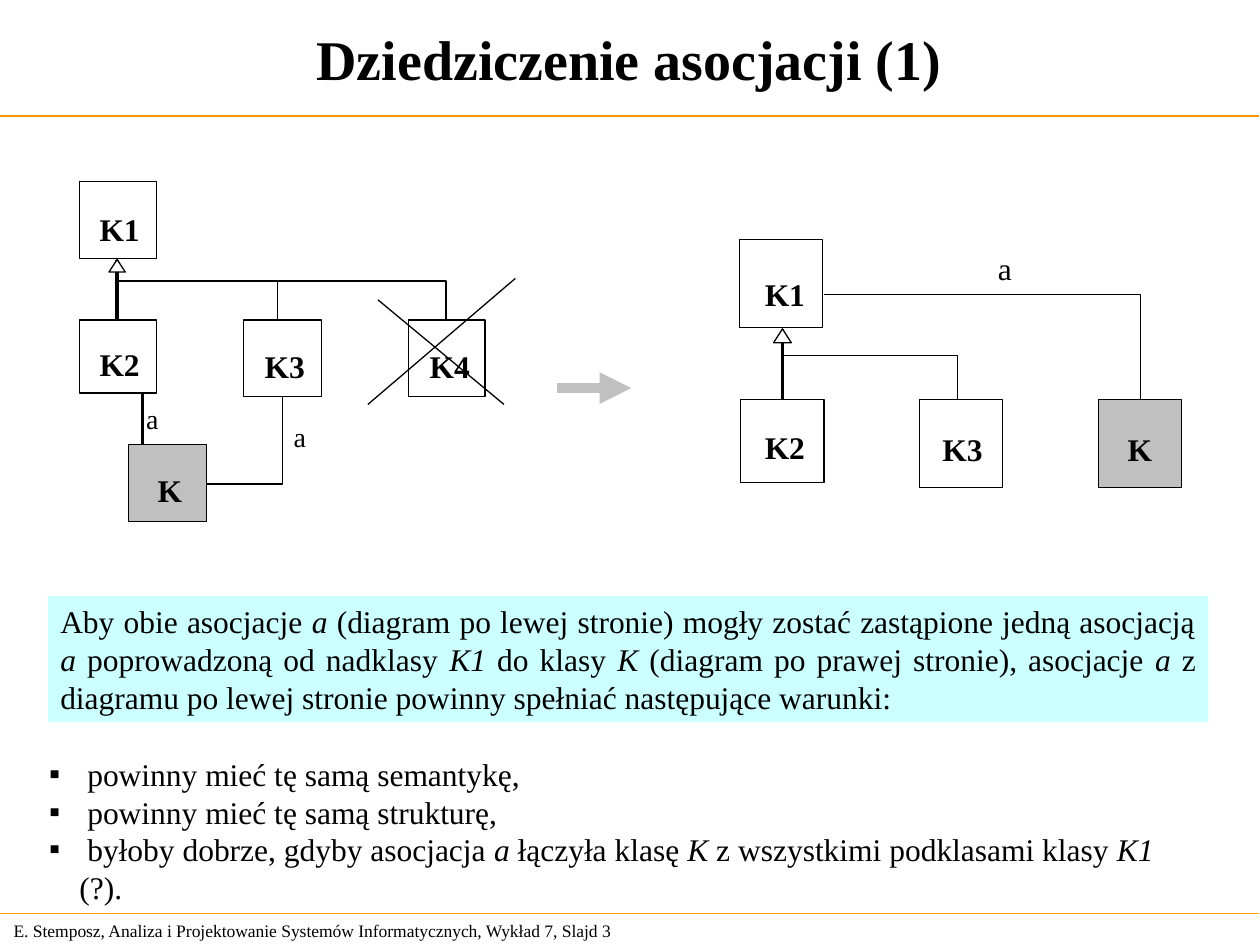
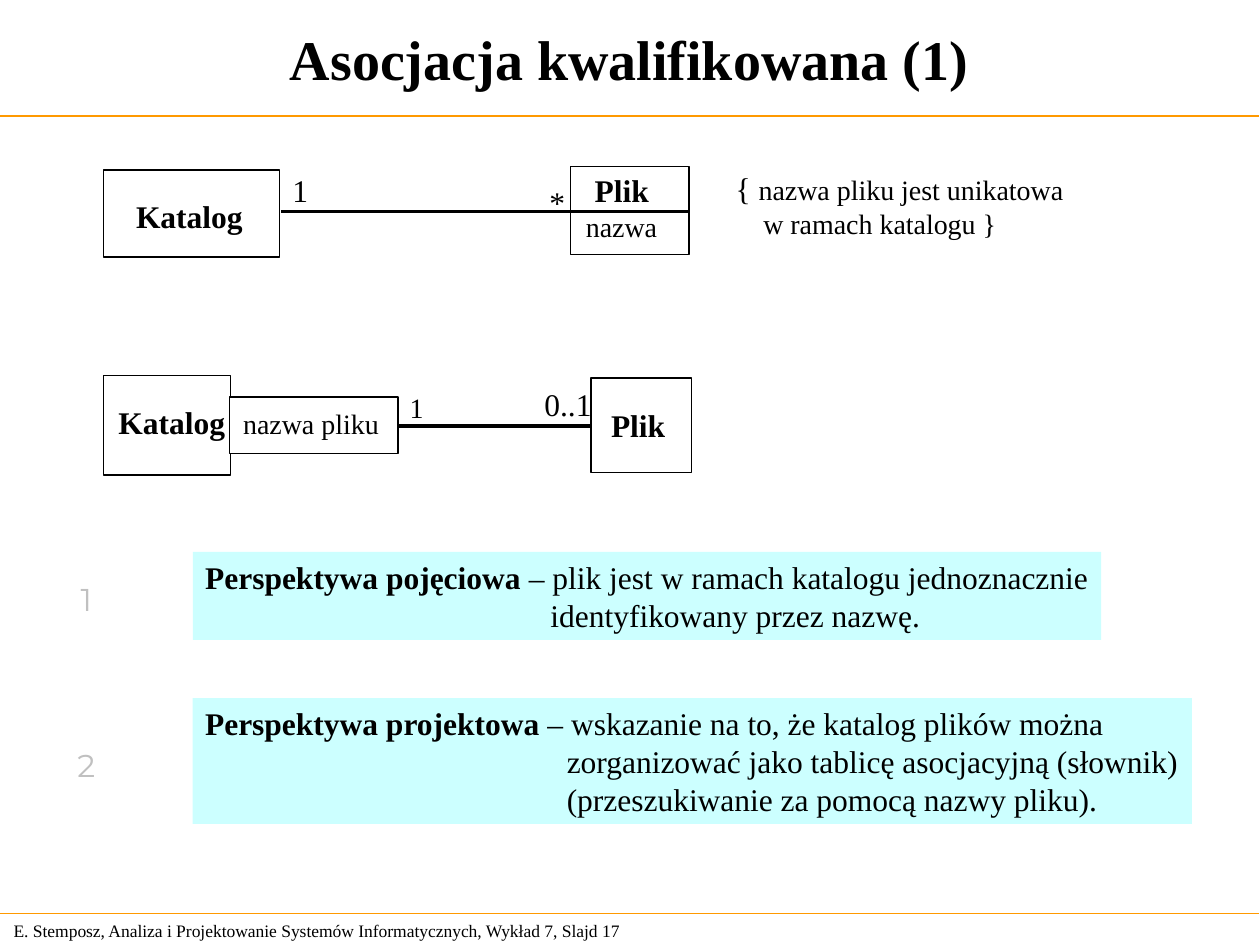
from dataclasses import dataclass

import pptx
import pptx.util
from lxml import etree
from pptx.dml.color import RGBColor
from pptx.enum.shapes import MSO_CONNECTOR, MSO_SHAPE
from pptx.enum.text import MSO_ANCHOR, MSO_AUTO_SIZE, PP_ALIGN
from pptx.oxml.ns import qn
from pptx.util import Inches, Pt


@dataclass(frozen=True)
class Theme:
    font: str = "Times New Roman"
    number_font: str = "Montserrat"
    ink: str = "000000"
    paper: str = "FFFFFF"
    grey: str = "C0C0C0"
    note: str = "CCFFFF"
    rule: str = "FF9900"
    title: int = 32
    text: int = 18
    small: int = 16
    footer: int = 10
    hairline: float = 0
    thin: float = 0.75
    arrow: float = 6


THEME = Theme()
FOOTER = "E. Stemposz, Analiza i Projektowanie Systemów Informatycznych, Wykład 7, Slajd {}"
INSET = (0.1, 0.05, 0.1, 0.05)
NO_INSET = (0, 0, 0, 0)

# Text between bars is emphasised.
INHERITANCE = {
    "title": "Dziedziczenie asocjacji (1)",
    "number": 3,
    # name, (left, top, width, height), label offset, fill
    "classes": [
        ("K1", (0.63, 1.44, 0.61, 0.61), (0.16, 0.23), THEME.paper),
        ("K2", (0.63, 2.54, 0.61, 0.58), (0.16, 0.2), THEME.paper),
        ("K3", (1.93, 2.54, 0.62, 0.61), (0.17, 0.21), THEME.paper),
        ("K4", (3.24, 2.54, 0.61, 0.61), (0.17, 0.21), THEME.paper),
        ("K", (1.02, 3.53, 0.62, 0.61), (0.23, 0.21), THEME.grey),
        ("K1", (5.87, 1.9, 0.66, 0.7), (0.2, 0.28), THEME.paper),
        ("K2", (5.88, 3.17, 0.66, 0.66), (0.19, 0.23), THEME.paper),
        ("K3", (7.3, 3.17, 0.66, 0.7), (0.18, 0.24), THEME.paper),
        ("K", (8.72, 3.17, 0.66, 0.7), (0.23, 0.24), THEME.grey),
    ],
    # superclass x, its bottom, bus y, subclass top, subclass x's, arrowhead size
    "generalizations": [
        (0.93, 2.06, 2.23, 2.54, (2.2, 3.54), (0.13, 0.1)),
        (6.21, 2.61, 2.82, 3.17, (7.6,), (0.14, 0.11)),
    ],
    "associations": [
        [(1.64, 3.84), (2.24, 3.84), (2.24, 3.15)],
        [(9.05, 3.17), (9.05, 2.34), (6.54, 2.34)],
    ],
    "direct_association": ((1.13, 3.53), (1.13, 3.11)),
    "association_names": [
        ("a", (1.16, 3.19, 0.1, 0.27), THEME.small),
        ("a", (2.33, 3.33, 0.1, 0.27), THEME.small),
        ("a", (7.92, 1.98, 0.11, 0.3), THEME.text),
    ],
    "cross": [((3, 2.38), (4, 3.21)), ((2.92, 3.21), (4.09, 2.21))],
    "becomes": ((4.42, 3.08), (5.01, 3.08)),
    "condition": "Aby obie asocjacje |a| (diagram po lewej stronie) mogły zostać zastąpione "
                 "jedną asocjacją |a| poprowadzoną od nadklasy |K1| do klasy |K| (diagram po "
                 "prawej stronie), asocjacje |a| z diagramu po lewej stronie powinny spełniać "
                 "następujące warunki:",
    "requirements": [
        " powinny mieć tę samą semantykę,",
        " powinny mieć tę samą strukturę,",
        " byłoby dobrze, gdyby asocjacja |a| łączyła klasę |K| z wszystkimi podklasami "
        "klasy |K1 |(?).",
    ],
}

QUALIFIED = {
    "title": "Asocjacja kwalifikowana (1)",
    "number": 17,
    "classes": [
        ("Katalog", (0.82, 1.35, 1.4, 0.69), (0.26, 0.21), THEME.paper),
        ("Plik", (4.53, 1.32, 0.94, 0.7), (0.19, 0.04), THEME.paper),
        ("Katalog", (0.82, 2.98, 1.01, 0.79), (0.12, 0.22), THEME.paper),
        ("Plik", (4.69, 3, 0.8, 0.75), (0.16, 0.22), THEME.paper),
    ],
    "qualifier": ("nazwa pliku", (1.82, 3.15, 1.34, 0.45), (0.11, 0.08), THEME.paper),
    "lines": [
        ((2.23, 1.68), (4.53, 1.68)),
        ((4.53, 1.68), (5.48, 1.68)),
        ((3.16, 3.38), (4.69, 3.38)),
    ],
    "labels": [
        ("nazwa", (4.65, 1.66, 0.57, 0.27), THEME.small),
        ("1", (2.32, 1.36, 0.13, 0.3), THEME.text),
        ("*", (4.36, 1.45, 0.13, 0.3), THEME.text),
        ("0..1", (4.32, 3.06, 0.38, 0.3), THEME.text),
        ("1", (3.25, 3.1, 0.11, 0.27), THEME.small),
    ],
    "constraint": ["{ ", "nazwa pliku jest unikatowa", "w ramach katalogu }"],
    # number, number top, note box, hanging indent, lines
    "perspectives": [
        ("1", 4.6, (1.53, 4.38, 7.21, 0.7), 2.74,
         ["|Perspektywa pojęciowa |– plik jest w ramach katalogu jednoznacznie",
          "identyfikowany przez nazwę."]),
        ("2", 5.92, (1.53, 5.54, 7.93, 1), 2.87,
         ["|Perspektywa projektowa| – wskazanie na to, że katalog plików można",
          "zorganizować jako tablicę asocjacyjną (słownik)",
          "(przeszukiwanie za pomocą nazwy pliku)."]),
    ],
}


def color(value):
    return RGBColor.from_string(value)


def place(shape, area):
    shape.left, shape.top, shape.width, shape.height = map(Inches, area)


def set_font(font, size=THEME.text, bold=False, ink=THEME.ink, face=THEME.font):
    font.name, font.size, font.bold = face, Pt(size), bold
    font.color.rgb = color(ink)


def prepare(frame, inset=INSET, anchor=MSO_ANCHOR.TOP, wrap=True):
    frame.auto_size = MSO_AUTO_SIZE.NONE
    frame.word_wrap = wrap
    frame.vertical_anchor = anchor
    (frame.margin_left, frame.margin_top,
     frame.margin_right, frame.margin_bottom) = map(Inches, inset)
    return frame


def next_paragraph(frame, index):
    return frame.paragraphs[0] if index == 0 else frame.add_paragraph()


def add_marked_runs(paragraph, marked, emphasis):
    """Split text at bars and apply the font attribute to every second part."""
    for index, part in enumerate(marked.split("|")):
        if part:
            run = paragraph.add_run()
            run.text = part
            if index % 2:
                setattr(run.font, emphasis, True)


def add_label(slide, text, area, size=THEME.text, inset=NO_INSET,
              anchor=MSO_ANCHOR.TOP, **font):
    frame = prepare(slide.shapes.add_textbox(*map(Inches, area)).text_frame,
                    inset, anchor, wrap=False)
    paragraph = frame.paragraphs[0]
    paragraph.text = text
    set_font(paragraph.font, size, **font)
    return paragraph


def add_box(slide, area, fill, outlined=True):
    box = slide.shapes.add_shape(MSO_SHAPE.RECTANGLE, *map(Inches, area))
    box.shadow.inherit = False
    box.fill.solid()
    box.fill.fore_color.rgb = color(fill)
    if outlined:
        box.line.color.rgb = color(THEME.ink)
        box.line.width = Pt(THEME.hairline)
    else:
        box.line.fill.background()
    return box


def add_class(slide, name, area, offset, fill, size=THEME.text, bold=True):
    frame = prepare(add_box(slide, area, fill).text_frame, (*offset, 0, 0))
    paragraph = frame.paragraphs[0]
    paragraph.text = name
    paragraph.alignment = PP_ALIGN.LEFT
    set_font(paragraph.font, size, bold)


def add_line(slide, start, end, width=THEME.hairline, ink=THEME.ink, arrow=False):
    line = slide.shapes.add_connector(MSO_CONNECTOR.STRAIGHT, *map(Inches, (*start, *end)))
    line.line.color.rgb = color(ink)
    line.line.width = Pt(width)
    if arrow:
        etree.SubElement(line.line._get_or_add_ln(), qn("a:tailEnd"), type="triangle")
    etree.SubElement(line._element.spPr, qn("a:effectLst"))


def add_path(slide, points, closed=False):
    start, *rest = [tuple(map(Inches, point)) for point in points]
    builder = slide.shapes.build_freeform(*start)
    builder.add_line_segments(rest, close=closed)
    path = builder.convert_to_shape()
    path.shadow.inherit = False
    if closed:
        path.fill.solid()
        path.fill.fore_color.rgb = color(THEME.paper)
    else:
        path.fill.background()
    path.line.color.rgb = color(THEME.ink)
    path.line.width = Pt(THEME.hairline)


def add_generalization(slide, x, top, bus, bottom, branches, head):
    add_line(slide, (x, bottom), (x, top))
    for branch in branches:
        add_path(slide, [(branch, bottom), (branch, bus), (x, bus), (x, top)])
    half, base = head[0] / 2, top + head[1]
    add_path(slide, [(x, top), (x + half, base), (x - half, base)], closed=True)


def start_slide(deck, layout, content):
    slide = deck.slides.add_slide(deck.slide_layouts.get_by_name(layout))
    title = slide.shapes.title
    place(title, (0, 0, 9.99, 0.92))
    title.text = content["title"]
    prepare(title.text_frame, anchor=MSO_ANCHOR.MIDDLE)
    heading = title.text_frame.paragraphs[0]
    heading.alignment = PP_ALIGN.CENTER
    set_font(heading.font, THEME.title, bold=True)
    for y in (0.92, 7.25):
        add_line(slide, (-0.01, y), (9.99, y), THEME.thin, THEME.rule)
    add_label(slide, FOOTER.format(content["number"]), (0.01, 7.25, 5.24, 0.27),
              THEME.footer, INSET, MSO_ANCHOR.MIDDLE)
    for item in content["classes"]:
        add_class(slide, *item)
    return slide


def add_requirements(slide, requirements):
    body = slide.placeholders[1]
    place(body, (0.29, 5.94, 9.24, 1.3))
    frame = prepare(body.text_frame)
    for index, requirement in enumerate(requirements):
        paragraph = next_paragraph(frame, index)
        add_marked_runs(paragraph, requirement, "italic")
        properties = paragraph._p.get_or_add_pPr()
        properties.set("marL", str(Inches(0.24)))
        properties.set("indent", str(Inches(-0.24)))
        etree.SubElement(properties, qn("a:buFont"), typeface=THEME.font)
        etree.SubElement(properties, qn("a:buChar"), char="▪")
        paragraph.space_before = Pt(0)
        set_font(paragraph.font)


def build_inheritance(deck):
    content = INHERITANCE
    slide = start_slide(deck, "Title and Content", content)
    for tree in content["generalizations"]:
        add_generalization(slide, *tree)
    for points in content["associations"]:
        add_path(slide, points)
    add_line(slide, *content["direct_association"])
    for name in content["association_names"]:
        add_label(slide, *name)
    for stroke in content["cross"]:
        add_line(slide, *stroke, THEME.thin)
    add_line(slide, *content["becomes"], THEME.arrow, THEME.grey, arrow=True)
    note = add_box(slide, (0.38, 4.73, 9.21, 1), THEME.note, outlined=False)
    paragraph = prepare(note.text_frame).paragraphs[0]
    add_marked_runs(paragraph, content["condition"], "italic")
    paragraph.alignment = PP_ALIGN.JUSTIFY
    set_font(paragraph.font)
    add_requirements(slide, content["requirements"])


def build_qualified(deck):
    content = QUALIFIED
    slide = start_slide(deck, "Title Only", content)
    for line in content["lines"]:
        add_line(slide, *line)
    add_class(slide, *content["qualifier"], size=THEME.small, bold=False)
    for label in content["labels"]:
        add_label(slide, *label)

    brace, rule, scope = content["constraint"]
    opening = add_label(slide, brace, (5.74, 1.29, 2.8, 0.67), inset=INSET)
    opening.runs[0].font.size = Pt(THEME.text)
    opening.add_run().text = rule
    closing = opening._parent.add_paragraph()
    closing.text = scope
    closing._p.get_or_add_pPr().set("marL", str(Inches(0.22)))
    for paragraph in (opening, closing):
        set_font(paragraph.font, THEME.small)

    for number, top, area, indent, lines in content["perspectives"]:
        add_label(slide, number, (0.6, top, 0.17, 0.3), ink=THEME.grey,
                  face=THEME.number_font).alignment = PP_ALIGN.CENTER
        note = add_box(slide, area, THEME.note, outlined=False)
        frame = prepare(note.text_frame, (0.1, 0.05, 0, 0.05))
        for index, line in enumerate(lines):
            paragraph = next_paragraph(frame, index)
            add_marked_runs(paragraph, line, "bold")
            paragraph.alignment = PP_ALIGN.LEFT
            if index:
                paragraph._p.get_or_add_pPr().set("marL", str(Inches(indent)))
            set_font(paragraph.font)


def main():
    deck = pptx.Presentation()
    deck.slide_width, deck.slide_height = Inches(10), Inches(7.5)
    build_inheritance(deck)
    build_qualified(deck)
    deck.save("out.pptx")


if __name__ == "__main__":
    main()
